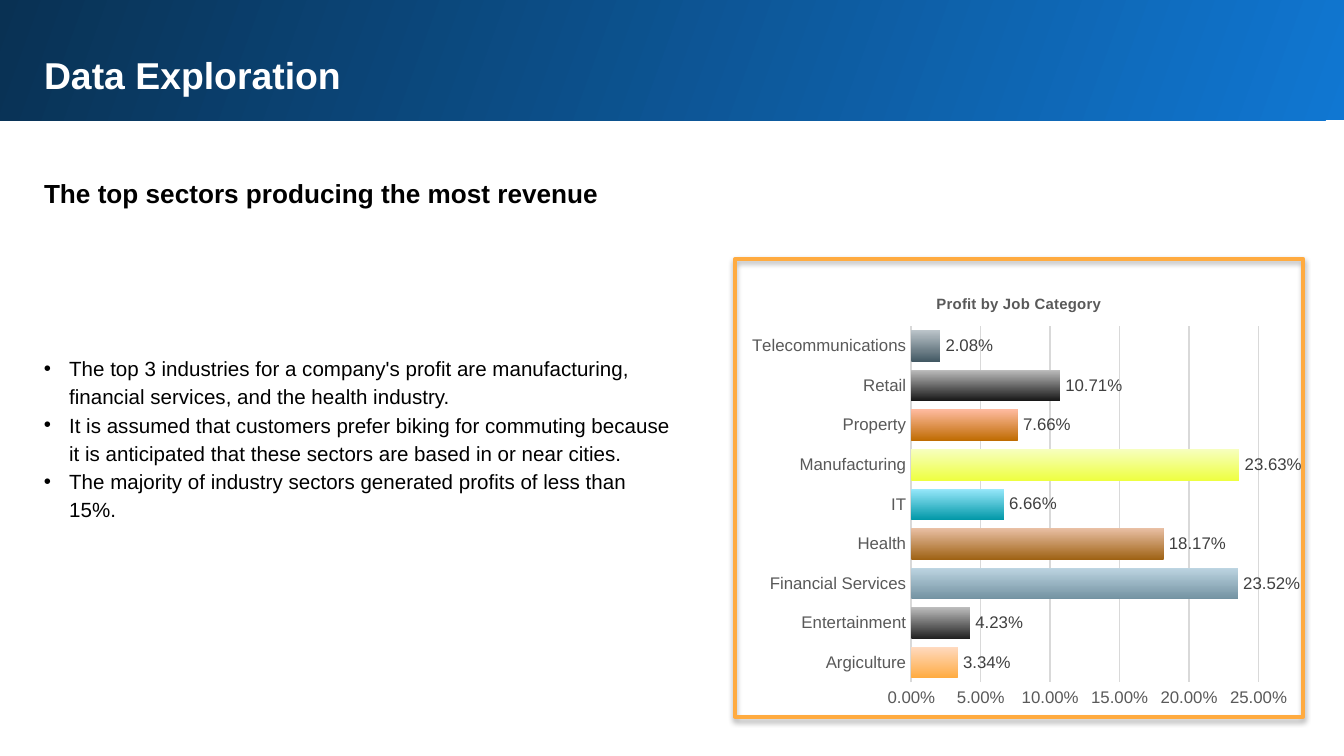
import lxml.etree
import pptx
import pptx.chart.data
import pptx.dml.color
import pptx.enum.chart
import pptx.enum.shapes
import pptx.oxml
import pptx.oxml.ns
import pptx.util

PX = 9525
FONT = "Arial"
NS = pptx.oxml.ns.nsdecls("a")

SECTORS = [
    ("Argiculture", 0.0334, "FFAB40", "FFDAC0"),
    ("Entertainment", 0.0423, "212121", "BDBDBD"),
    ("Financial Services", 0.2352, "7392A1", "BDD5E2"),
    ("Health", 0.1817, "9F6214", "E9C0A5"),
    ("IT", 0.0666, "0097A7", "99E9FC"),
    ("Manufacturing", 0.2363, "EEFF41", "F7FFC0"),
    ("Property", 0.0766, "BF6B00", "FFBBA0"),
    ("Retail", 0.1071, "141414", "BDBDBD"),
    ("Telecommunications", 0.0208, "425863", "BCC5CA"),
]
POINTS = [
    "The top 3 industries for a company's profit are manufacturing, "
    "financial services, and the health industry.",
    "It is assumed that customers prefer biking for commuting because "
    "it is anticipated that these sectors are based in or near cities.",
    "The majority of industry sectors generated profits of less than 15%.",
]


def color(code):
    return pptx.dml.color.RGBColor.from_string(code)


def scale(*box):
    return [pptx.util.Emu(n * PX) for n in box]


def style(font, size, code, bold=False):
    font.name = FONT
    font.size = pptx.util.Pt(size)
    font.bold = bold
    font.color.rgb = color(code)


def blend(fill, first, last, angle):
    fill.gradient()
    fill.gradient_angle = angle
    for stop, code in zip(fill.gradient_stops, (first, last)):
        stop.color.rgb = color(code)


def rect(slide, box):
    kind = pptx.enum.shapes.MSO_SHAPE.RECTANGLE
    shape = slide.shapes.add_shape(kind, *scale(*box))
    shape.shadow.inherit = False
    return shape


def write(slide, box, lines, size, code="000000", bold=False, space=1.15, bullet=False):
    frame = slide.shapes.add_textbox(*scale(*box)).text_frame
    frame.word_wrap = True
    inset = pptx.util.Pt(7.2)
    frame.margin_left = frame.margin_right = inset
    frame.margin_top = frame.margin_bottom = inset
    frame.text = "\n".join(lines)
    for para in frame.paragraphs:
        style(para.font, size, code, bold)
        para.line_spacing = space
        if bullet:
            props = para._p.get_or_add_pPr()
            props.set("marL", str(18 * PX))
            props.set("indent", str(-18 * PX))
            for tag in (f'buFont {NS} typeface="{FONT}"', f'buChar {NS} char="•"'):
                mark = pptx.oxml.parse_xml(f"<a:{tag}/>")
                props.insert_element_before(mark, "a:tabLst", "a:defRPr", "a:extLst")


def banner(slide, box):
    left, top, width, height = box
    band = rect(slide, box)
    blend(band.fill, "1077D2", "093153", 160)
    band.line.fill.background()
    spot = (left + 24, top + 30, width - 65, 49)
    write(slide, spot, ["Data Exploration"], 20, "FFFFFF", True, 1)


def body(slide, box):
    left, top, width, height = box
    head = ["The top sectors producing the most revenue"]
    write(slide, (left, top, width, 43), head, 14, bold=True)
    write(slide, (left, top + 128, 471, height - 128), POINTS, 11, bullet=True)


def place(parent, before, inner, **spots):
    ns = pptx.oxml.ns.nsdecls("c")
    target = '<c:layoutTarget val="inner"/>' if inner else ""
    modes = "".join(f'<c:{key}Mode val="edge"/>' for key in "xy")
    sizes = "".join(f'<c:{key} val="{val}"/>' for key, val in spots.items())
    for old in parent.findall(pptx.oxml.ns.qn("c:layout")):
        parent.remove(old)
    layout = pptx.oxml.parse_xml(
        f"<c:layout {ns}><c:manualLayout>{target}{modes}{sizes}"
        "</c:manualLayout></c:layout>"
    )
    parent.insert(before, layout)


def bars(slide, box):
    data = pptx.chart.data.CategoryChartData(number_format="0.00%")
    data.categories = [name for name, *_ in SECTORS]
    data.add_series("Series 1", [value for _, value, *_ in SECTORS])
    kind = pptx.enum.chart.XL_CHART_TYPE.BAR_CLUSTERED
    chart = slide.shapes.add_chart(kind, *scale(*box), data).chart
    style(chart.font, 10, "000000")
    chart.has_legend = False

    title = chart.chart_title
    title.text_frame.text = "Profit by Job Category"
    style(title.text_frame.paragraphs[0].font, 8, "595959", True)
    place(title._element, 1, False, x=0.34, y=0.04)
    place(chart._chartSpace.chart.plotArea, 0, True, x=0.3, y=0.12, w=0.62, h=0.8)

    cats, vals = chart.category_axis, chart.value_axis
    for axis in (cats, vals):
        none = pptx.enum.chart.XL_TICK_MARK.NONE
        axis.major_tick_mark = axis.minor_tick_mark = none
        style(axis.tick_labels.font, 9, "595959")
    cats.format.line.color.rgb = color("D9D9D9")
    cats.format.line.width = pptx.util.Pt(1)
    vals.format.line.fill.background()
    vals.minimum_scale, vals.maximum_scale, vals.major_unit = 0, 0.25, 0.05
    vals.tick_labels.number_format = "0.00%"
    vals.tick_labels.number_format_is_linked = False
    grid = vals.major_gridlines.format.line
    grid.color.rgb = color("D9D9D9")
    grid.width = pptx.util.Pt(0.75)

    plot = chart.plots[0]
    plot.vary_by_categories = False
    plot.gap_width, plot.overlap = 25, 2
    series = plot.series[0]
    for index, (_, _, first, last) in enumerate(SECTORS):
        blend(series.points[index].format.fill, first, last, 90)
    labels = series.data_labels
    labels.show_value = True
    labels.position = pptx.enum.chart.XL_LABEL_POSITION.OUTSIDE_END
    labels.number_format = "0.00%"
    labels.number_format_is_linked = False
    style(labels.font, 9, "404040")


def panel(slide, box):
    left, top, width, height = box
    bars(slide, (left + 6, top + 10, width - 6, height - 9))
    frame = rect(slide, box)
    frame.fill.background()
    frame.line.color.rgb = color("FFAB40")
    frame.line.width = pptx.util.Pt(2)
    effects = frame._element.spPr.find(pptx.oxml.ns.qn("a:effectLst"))
    shade = lxml.etree.SubElement(
        effects, pptx.oxml.ns.qn("a:outerShdw"),
        blurRad="38100", dist="22860", dir="5400000", rotWithShape="0",
    )
    tint = lxml.etree.SubElement(shade, pptx.oxml.ns.qn("a:srgbClr"), val="000000")
    lxml.etree.SubElement(tint, pptx.oxml.ns.qn("a:alpha"), val="35000")


def main():
    deck = pptx.Presentation()
    deck.slide_width, deck.slide_height = scale(960, 540)
    slide = deck.slides.add_slide(deck.slide_layouts[6])
    banner(slide, (-2, -2, 965, 88))
    body(slide, (22, 114, 900, 270))
    panel(slide, (525, 185, 406, 327))
    deck.save("out.pptx")


if __name__ == "__main__":
    main()
